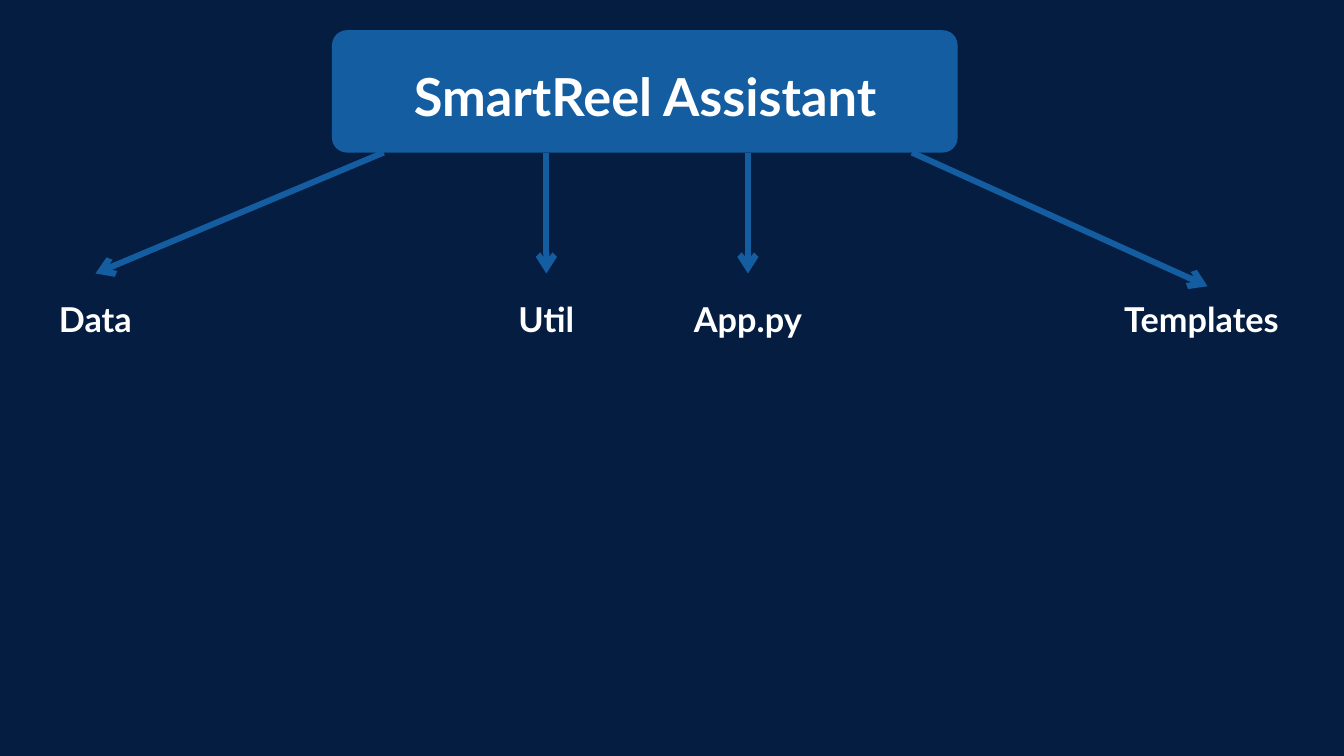
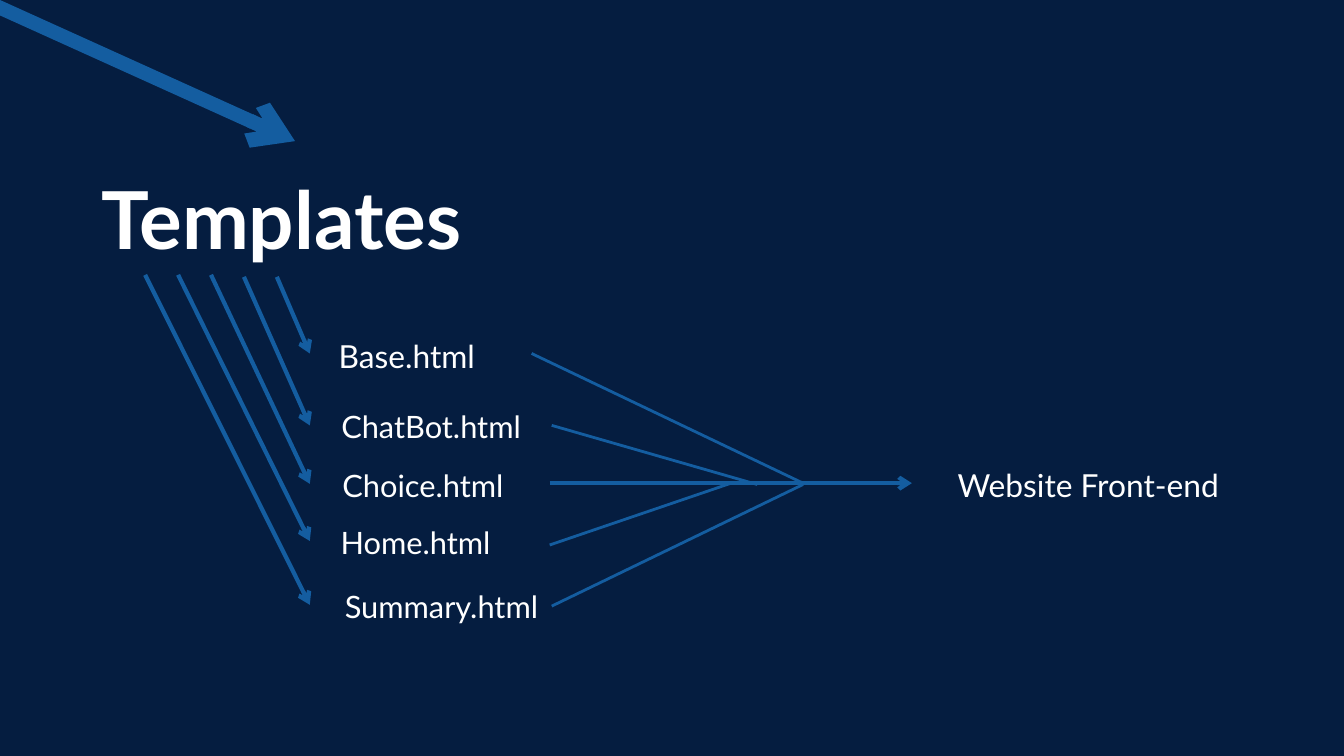
import pptx
import pptx.util
import pptx.dml.color
import pptx.enum.shapes
import pptx.enum.text
import pptx.oxml.ns
from dataclasses import dataclass
from lxml import etree


@dataclass(frozen=True)
class Theme:
    font: str = "Lato"
    navy: str = "051D40"
    blue: str = "145DA0"
    white: str = "FFFFFF"
    heading: float = 56.1
    branch: float = 36.7
    file: float = 33
    result: float = 34
    leading: float = 1.4
    thick: float = 6.48
    medium: float = 4.5
    thin: float = 3


THEME = Theme()
WIDTH, HEIGHT = 20, 11.25
ZOOM = 7 / 3  # the second slide enlarges the Templates branch

# Slide 1: project and its branches
PROJECT = "SmartReel Assistant"
PROJECT_BOX = (4.94, 0.45, 9.31, 1.82)
PROJECT_TEXT = (5.66, 0.8, 7.88, 1.03)
BOX_RADIUS = 0.22
LABEL_TOP, LABEL_HEIGHT = 4.34, 0.66
# label, centre, width, arrow start x, arrow tip
BRANCHES = [
    ("Data", 1.42, 1.18, 5.71, (1.42, 4.07)),
    ("Util", 8.13, 0.9, 8.13, (8.13, 4.07)),
    ("App.py", 11.13, 1.76, 11.13, (11.13, 4.07)),
    ("Templates", 17.88, 2.57, 13.57, (17.97, 4.26)),
]

# Slide 2: template files and what they feed
TEMPLATES = "Templates"
TEMPLATES_TEXT = (1.18, 2.28, 6.01, 1.54)
TEMPLATES_TIP = (4.39, 2.1)
FILE_HEIGHT = 0.62
TIP_X, TIP_DROP = 4.61, 0.35
FAN_RIGHT, FAN_STEP = 4.12, 0.49
# label, type size, left, top, width, arrow start y
FILES = [
    ("Base.html", THEME.result, 4.92, 4.91, 2.27, 4.12),
    ("ChatBot.html", THEME.file, 4.92, 5.98, 2.99, 4.12),
    ("Choice.html", THEME.file, 4.96, 6.85, 2.67, 4.09),
    ("Home.html", THEME.file, 4.96, 7.7, 2.45, 4.09),
    ("Summary.html", THEME.file, 4.96, 8.65, 3.22, 4.09),
]
RESULT = "Website Front-end"
RESULT_TEXT = (14.09, 6.84, 4.21, 0.63)
RESULT_ARROW = ((8.18, 7.19), (13.57, 7.19))
MERGES = [
    ((7.91, 5.26), (11.95, 7.19)),
    ((8.21, 6.33), (11.27, 7.21)),
    ((8.18, 8.11), (10.88, 7.19)),
    ((8.21, 9.02), (11.95, 7.21)),
]


def inches(values):
    return [pptx.util.Inches(value) for value in values]


def color(name):
    return pptx.dml.color.RGBColor.from_string(name)


def write(box, text, size, bold=False):
    frame = box.text_frame
    frame.margin_left = frame.margin_top = frame.margin_right = frame.margin_bottom = 0
    frame.word_wrap = True
    frame.auto_size = pptx.enum.text.MSO_AUTO_SIZE.NONE
    frame.vertical_anchor = pptx.enum.text.MSO_ANCHOR.TOP
    para = frame.paragraphs[0]
    para.text = text
    para.alignment = pptx.enum.text.PP_ALIGN.CENTER
    para.space_before = pptx.util.Pt(0)
    para.line_spacing = pptx.util.Pt(round(size * THEME.leading, 1))
    para.font.name = THEME.font
    para.font.size = pptx.util.Pt(size)
    para.font.bold = bold
    para.font.color.rgb = color(THEME.white)


def add_label(page, area, text, size, bold=False):
    write(page.shapes.add_textbox(*inches(area)), text, size, bold)


def add_title(page, area, text, size):
    title = page.shapes.title
    title.left, title.top, title.width, title.height = inches(area)
    write(title, text, size, bold=True)
    title.element.getparent().append(title.element)  # in front of what is drawn so far


def add_line(page, start, end, weight, arrow=True):
    line = page.shapes.add_connector(
        pptx.enum.shapes.MSO_CONNECTOR.STRAIGHT, *inches((*start, *end)))
    line.line.color.rgb = color(THEME.blue)
    line.line.width = pptx.util.Pt(weight)
    if arrow:
        outline = line.line._get_or_add_ln()
        etree.SubElement(outline, pptx.oxml.ns.qn("a:tailEnd"), type="arrow")
    etree.SubElement(line.element.spPr, pptx.oxml.ns.qn("a:effectLst"))


def build_overview(page):
    left, top, width, height = PROJECT_BOX
    bottom = top + height

    # Project box, with the first arrow tucked behind it
    first, *others = BRANCHES
    add_line(page, (first[3], bottom), first[4], THEME.thick)
    box = page.shapes.add_shape(
        pptx.enum.shapes.MSO_SHAPE.ROUNDED_RECTANGLE, *inches(PROJECT_BOX))
    box.adjustments[0] = BOX_RADIUS / height
    box.shadow.inherit = False
    box.fill.solid()
    box.fill.fore_color.rgb = color(THEME.blue)
    box.line.fill.background()
    add_title(page, PROJECT_TEXT, PROJECT, THEME.heading)

    # Branches
    for label, centre, label_width, start_x, tip in BRANCHES:
        if label != first[0]:
            add_line(page, (start_x, bottom), tip, THEME.thick)
        area = (centre - label_width / 2, LABEL_TOP, label_width, LABEL_HEIGHT)
        add_label(page, area, label, THEME.branch, bold=True)


def build_templates(page):
    # Enlarged branch arrow and title
    _, _, _, start_x, (tip_x, tip_y) = BRANCHES[-1]
    run = tip_x - start_x
    rise = tip_y - PROJECT_BOX[1] - PROJECT_BOX[3]
    start = (TEMPLATES_TIP[0] - run * ZOOM, TEMPLATES_TIP[1] - rise * ZOOM)
    add_line(page, start, TEMPLATES_TIP, THEME.thick * ZOOM)
    add_title(page, TEMPLATES_TEXT, TEMPLATES, round(THEME.branch * ZOOM, 1))

    # Fan of arrows to the files
    for index, (label, size, left, top, width, start_y) in enumerate(FILES):
        start = (FAN_RIGHT - index * FAN_STEP, start_y)
        add_line(page, start, (TIP_X, top + TIP_DROP), THEME.medium)
        add_label(page, (left, top, width, FILE_HEIGHT), label, size)

    # Files merging into the front end
    add_label(page, RESULT_TEXT, RESULT, THEME.result)
    add_line(page, *RESULT_ARROW, THEME.medium)
    for start, end in MERGES:
        add_line(page, start, end, THEME.thin, arrow=False)


def main():
    deck = pptx.Presentation()
    deck.slide_width, deck.slide_height = inches((WIDTH, HEIGHT))
    backdrop = deck.slide_master.background.fill
    backdrop.solid()
    backdrop.fore_color.rgb = color(THEME.navy)
    title_only = deck.slide_layouts.get_by_name("Title Only")
    for build in (build_overview, build_templates):
        build(deck.slides.add_slide(title_only))
    deck.save("out.pptx")


if __name__ == "__main__":
    main()
